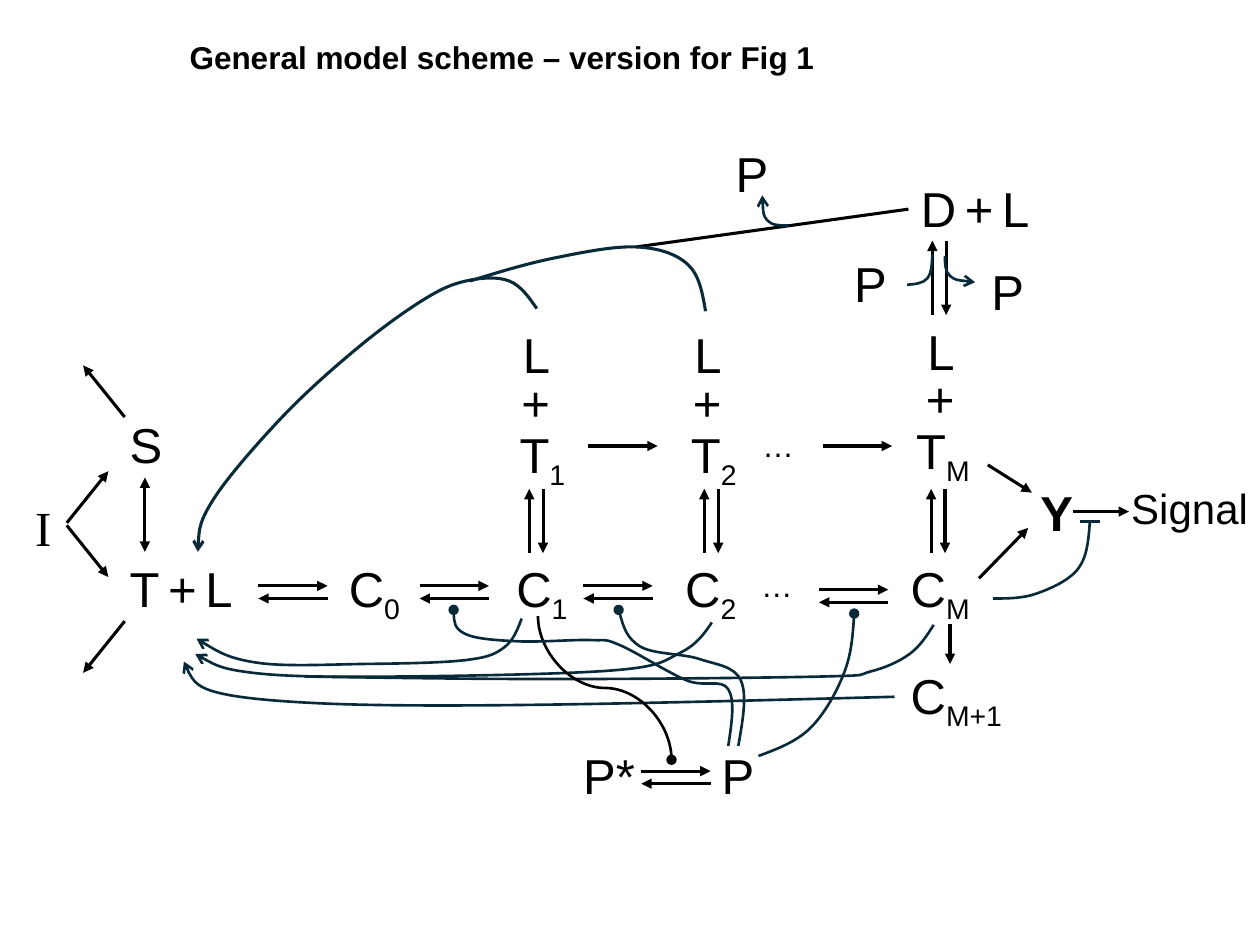
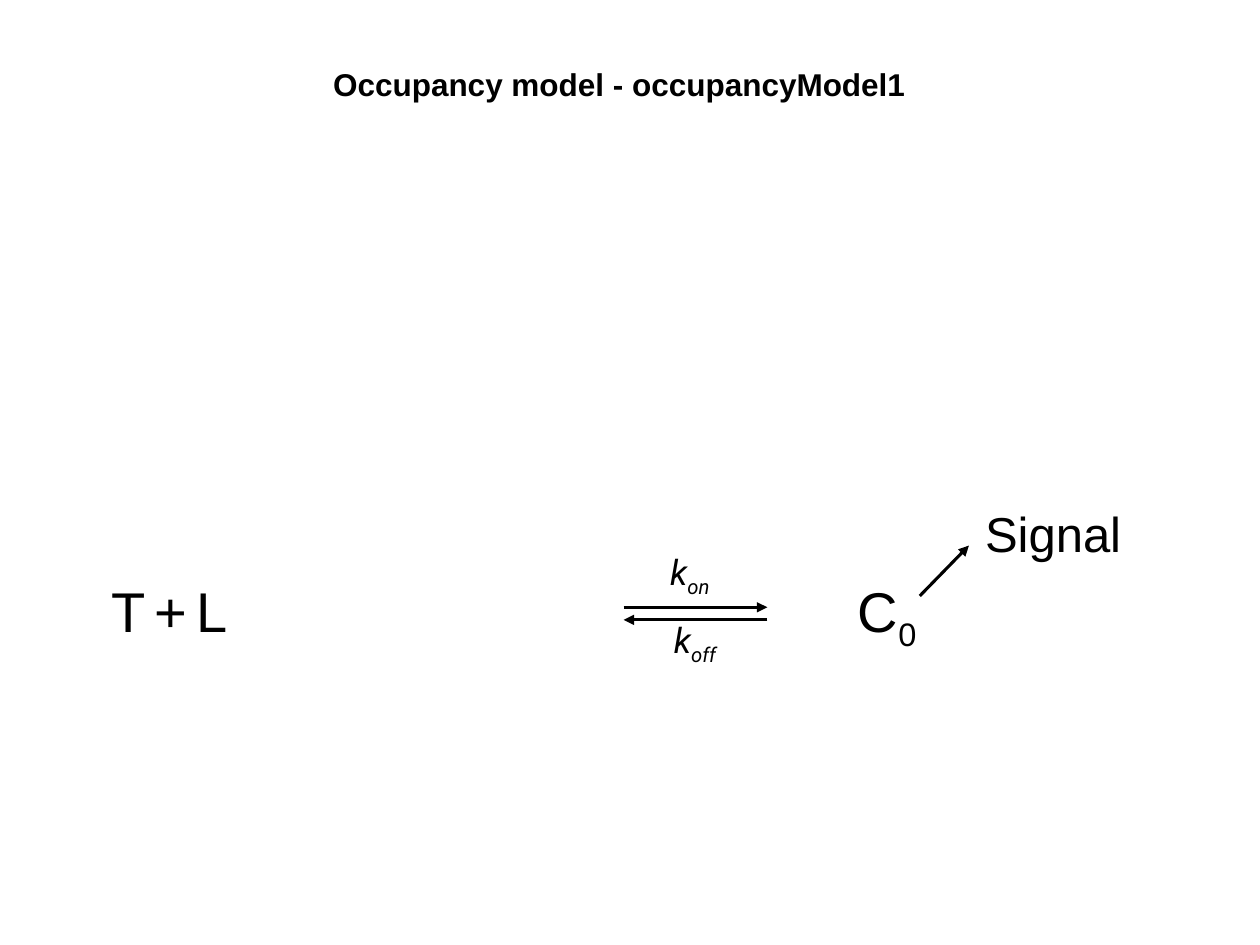
from itertools import chain, groupby

from lxml import etree
from pptx import Presentation
from pptx import util as u
from pptx.dml.color import RGBColor
from pptx.enum import shapes, text
from pptx.oxml.ns import qn

BLACK = RGBColor(0x00, 0x00, 0x00)
NAVY = RGBColor(0x09, 0x2A, 0x39)
FONT = "Arial"
GAP = 18
PAIR_GAP = 0.1


def inch(v):
    """Turn inches into a length."""
    return u.Cm(2.54 * v)


def style_line(sp, color, width, head=None, tail=None):
    """Colour a line and put on its arrowheads."""
    sp.line.color.rgb = color
    sp.line.width = u.Pt(width)
    ln = sp._element.spPr.find(qn("a:ln"))
    for tag, kind in (("a:headEnd", head), ("a:tailEnd", tail)):
        if kind:
            etree.SubElement(ln, qn(tag), type=kind)


def spline(knots):
    """Return the Bezier points, after the first, of a smooth curve through knots."""
    p = [complex(*k) for k in knots]
    tangents = [(b - a) / 6 for a, b in zip(p, p[2:])]
    arrive = [k - t for k, t in zip(p[1:], tangents)]
    leave = [k + t for k, t in zip(p[1:], tangents)]
    first = [(p[0] + arrive[0]) / 2] + leave
    second = arrive + [(leave[-1] + p[-1]) / 2]
    return [(c.real, c.imag) for c in chain(*zip(first, second, p[1:]))]


class Region:
    """Part of a slide, drawn in inches from its top left corner."""

    def __init__(self, s, x=0, y=0):
        """Remember the slide and the corner."""
        self.s, self.x, self.y = s, x, y

    def at(self, x, y):
        """Return the place of a point on the slide."""
        return inch(self.x + x), inch(self.y + y)

    def label(self, words, x, y, w, size=28, font=FONT, bold=False, italic=False,
              center=False, gap=None, spacing=None):
        """Place lines of text, where an underscore starts a subscript."""
        lines = words.split("\n")
        h = len(lines) * size / 60 * (spacing or 1) + 0.1
        tf = self.s.shapes.add_textbox(*self.at(x, y), inch(w), inch(h)).text_frame
        tf.word_wrap = False
        tf.auto_size = text.MSO_AUTO_SIZE.SHAPE_TO_FIT_TEXT
        for i, line in enumerate(lines):
            p = tf.add_paragraph() if i else tf.paragraphs[0]
            p.line_spacing = spacing
            if center:
                p.alignment = text.PP_ALIGN.CENTER
            base, _, sub = line.partition("_")
            runs = [(base, size)]
            if gap:
                runs = [("".join(g), gap if blank else size)
                        for blank, g in groupby(base, str.isspace)]
            for part, points in runs + [(sub, size)] * bool(sub):
                r = p.add_run()
                r.text = part
                r.font.name, r.font.size = font, u.Pt(points)
                r.font.bold, r.font.italic = bold, italic
                r.font.color.rgb = BLACK
            if sub:
                r.font._element.set("baseline", "-25000")

    def arrow(self, x1, y1, x2, y2, head=None, tail="triangle", color=BLACK, width=1.75,
              kind=shapes.MSO_CONNECTOR.STRAIGHT, parent=None):
        """Draw a connector between two points."""
        c = (parent or self.s).shapes.add_connector(kind, *self.at(x1, y1), *self.at(x2, y2))
        style_line(c, color, width, head, tail)
        etree.SubElement(c._element.spPr, qn("a:effectLst"))
        return c

    def pair(self, x, y, length=0.55, vertical=False):
        """Draw the two opposite arrows of a reversible reaction."""
        g = self.s.shapes.add_group_shape()
        if vertical:
            x2 = x + PAIR_GAP + 0.01
            ends = (x2, y, x2, y + length), (x, y + length, x, y)
        else:
            y2 = y + PAIR_GAP
            ends = (x, y, x + length, y), (x + length, y2, x, y2)
        for end in ends:
            self.arrow(*end, parent=g)

    def curve(self, *knots, tail=None, width=1.5):
        """Draw a smooth open curve through knots."""
        fb = self.s.shapes.build_freeform(*self.at(*knots[0]), scale=1.0)
        fb.add_line_segments([self.at(*k) for k in spline(knots)], close=False)
        sp = fb.convert_to_shape()
        sp.fill.background()
        sp.shadow.inherit = False
        style_line(sp, NAVY, width, tail=tail)
        outline = next(sp._element.iter(qn("a:path")))
        steps = outline.findall(qn("a:lnTo"))
        for i in range(0, len(steps), 3):
            bezier = etree.SubElement(outline, qn("a:cubicBezTo"))
            for step in steps[i:i + 3]:
                bezier.append(step[0])
                outline.remove(step)


def title(s, words, x, y, w):
    """Place the slide title."""
    Region(s, x, y).label(words, 0, 0, w, size=18, bold=True, center=True)


def inputs(s, x, y):
    """Draw the supply and loss of S and T."""
    g = Region(s, x, y)
    g.label("S", 0.93, 0.34, 0.46)
    g.label("I", 0.18, 1, 0.34, font="Times New Roman")
    g.arrow(1.15, 0.89, 1.15, 1.48, head="triangle")
    for ends in ((0.53, 1.25, 0.86, 0.84), (0.53, 1.27, 0.86, 1.68),
                 (0.99, 0.41, 0.66, 0), (0.99, 2.03, 0.66, 2.44)):
        g.arrow(*ends)


def complexes(s, x, y):
    """Draw the row of binding steps from T + L to the last complex."""
    g = Region(s, x, y)
    g.label("T + L", 0.93, 0.38, 1.03, gap=GAP)
    for n, left, w in (("0", 2.67, 0.63), ("1", 4, 0.63), ("2", 5.34, 0.63), ("M", 7.13, 0.7)):
        g.label("C_" + n, left, 0.38, w)
    g.label("…", 5.94, 0.44, 0.45, size=18, center=True)
    for left, top in ((2.05, 0.65), (3.33, 0.65), (4.63, 0.65), (6.5, 0.68)):
        g.pair(left, top)
    g.arrow(7.54, 0.95, 7.54, 1.27)
    g.label("C_M+1", 7.13, 1.23, 1)


def receptors(s, x, y):
    """Draw the columns of free ligand and modified receptor."""
    g = Region(s, x, y)
    for n, left, top, w, pair_x in (("1", 0.01, 0.02, 0.59, 0.2), ("2", 1.37, 0.02, 0.59, 1.59),
                                    ("M ", 3.13, -0.01, 0.77, 3.39)):
        g.label("L \n+ \nT_" + n, left, top, w, center=True, spacing=0.8)
        g.pair(pair_x, 1.28, 0.51, vertical=True)
    for left in (0.67, 2.53):
        g.arrow(left, 0.94, left + 0.55, 0.94)
    g.label("…", 1.95, 0.73, 0.45, size=18, center=True)


def output(s, x, y):
    """Draw the signal output and its inhibition."""
    g = Region(s, x, y)
    g.label("Y", 0.46, 0.18, 0.46, bold=True)
    g.label("Signal", 1.18, 0.18, 1.14, size=24)
    for ends in ((0.82, 0.46, 1.26, 0.46), (0.07, 0.99, 0.46, 0.59), (0.14, 0.09, 0.49, 0.31)):
        g.arrow(*ends)
    g.curve((0.18, 1.15), (0.53, 1.11), (0.86, 0.91), (0.95, 0.54))
    g.arrow(0.87, 0.54, 1.03, 0.54, tail=None, color=NAVY, width=1.5)


def release(s, x, y):
    """Draw the D + L branch and the long return curves to T + L."""
    g = Region(s, x, y)
    g.label("D + L", 6.21, 0.37, 1.07, gap=GAP)
    for left, top in ((4.74, 0.09), (5.68, 0.96), (6.77, 1.03)):
        g.label("P", left, top, 0.46)
    g.arrow(6.21, 0.66, 4.05, 0.96, tail=None)
    g.pair(6.4, 0.91, 0.59, vertical=True)
    g.curve((6.5, 1.03), (6.54, 1.19), (6.74, 1.24), tail="arrow")
    g.curve((6.2, 1.26), (6.36, 1.21), (6.4, 1.02))
    g.curve((5.26, 0.79), (5.09, 0.75), (5.05, 0.55), tail="arrow")
    g.curve((3.26, 1.45), (3.04, 1.23), (2.7, 1.23), (2.36, 1.38), (1.84, 1.76),
            (1.24, 2.31), (0.69, 2.97), (0.57, 3.38), tail="arrow", width=1.75)
    g.curve((4.6, 1.47), (4.46, 1.1), (4.05, 0.96), (3.39, 1.05), (2.73, 1.23), width=1.75)


def recycling(s, x, y):
    """Draw the curves that lead from each complex back to T + L."""
    g = Region(s, x, y)
    g.curve((6.1, 1.53), (1.5, 1.58), (0.46, 1.25), tail="arrow")
    g.curve((3.14, 0.91), (3, 1.14), (2.69, 1.24), (1.9, 1.27), (1.04, 1.26), (0.56, 1.07),
            tail="arrow")
    g.curve((4.65, 0.94), (4.4, 1.18), (3.87, 1.32), (2.07, 1.37), (1.01, 1.34), (0.55, 1.19),
            tail="arrow")
    g.curve((6.41, 0.96), (6.22, 1.19), (5.91, 1.33), (5.52, 1.37), (3.41, 1.39), (1.42, 1.37))


def feedback(s, x, y):
    """Draw the P* and P pair and its links to the binding steps."""
    g = Region(s, x, y)
    g.label("P*", 1.53, 1.87, 0.62)
    g.label("P", 2.63, 1.87, 0.46)
    g.pair(2.09, 2.12)
    c = g.arrow(2.37, 0.93, 1.23, 1.99, tail="oval", width=1.5, kind=shapes.MSO_CONNECTOR.CURVE)
    c._element.spPr.find(qn("a:xfrm")).set("rot", str(270 * 60000))
    g.curve((3.02, 2), (3.43, 1.78), (3.7, 1.34), (3.78, 0.87), tail="oval")
    g.curve((2.86, 1.92), (2.88, 1.4), (2.55, 1.23), (2.08, 1.13), (1.91, 0.84), tail="oval")
    g.curve((2.78, 1.92), (2.78, 1.47), (2.45, 1.4), (1.92, 1.12), (1.69, 1.08), (1.11, 1.09),
            (0.69, 1.03), (0.6, 0.84), tail="oval")


def occupancy(s, x, y):
    """Draw the single binding step and its signal."""
    g = Region(s, x, y)
    g.label("T + L", 0.79, 0.53, 1.13, size=32, gap=GAP)
    g.label("C_0", 6.71, 0.53, 0.69, size=32)
    g.arrow(7.3, 0.73, 7.69, 0.33)
    g.pair(4.95, 0.82, 1.14)
    for rate, left, top in (("k_on", 5.22, 0.32), ("k_off", 5.25, 0.86)):
        g.label(rate, left, top, 0.55, size=20, font="Roboto", italic=True)
    g.label("Signal", 7.72, -0.05, 1.3)


def main():
    """Build both slides and save them."""
    prs = Presentation()
    prs.slide_width, prs.slide_height = u.Cm(25.4), u.Cm(19.05)
    blank = prs.slide_layouts[6]

    s = prs.slides.add_slide(blank)
    title(s, "General model scheme – version for Fig 1", 1.38, 0.25, 5.21)
    inputs(s, 0, 2.9)
    complexes(s, 0, 4)
    receptors(s, 4, 2.6)
    output(s, 7.7, 3.6)
    release(s, 1, 1)
    recycling(s, 1, 4)
    feedback(s, 3, 4)

    s = prs.slides.add_slide(blank)
    title(s, "Occupancy model - occupancyModel1", 2.52, 0.47, 4.79)
    occupancy(s, 0, 4)
    prs.save("out.pptx")


if __name__ == "__main__":
    main()
